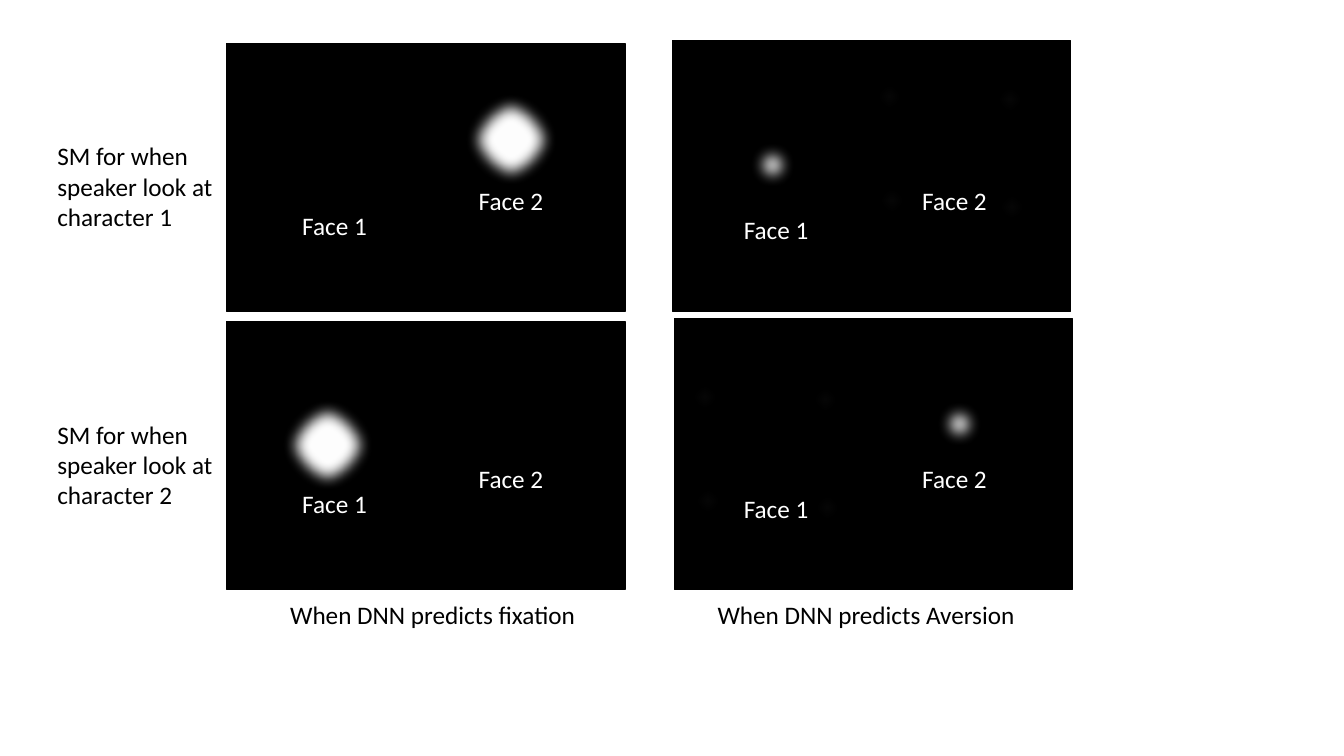
from pptx import Presentation
from pptx.dml.color import RGBColor
from pptx.enum.shapes import MSO_SHAPE
from pptx.enum.text import MSO_AUTO_SIZE
from pptx.oxml.ns import qn
from pptx.util import Inches, Pt
from lxml import etree

BLACK = RGBColor(0x00, 0x00, 0x00)
WHITE = RGBColor(0xFF, 0xFF, 0xFF)
NAVY = RGBColor(0x32, 0x54, 0x91)
RECTANGLE = MSO_SHAPE.RECTANGLE
OVAL = MSO_SHAPE.OVAL
GROW = MSO_AUTO_SIZE.SHAPE_TO_FIT_TEXT
COLUMNS, ROWS = 40, 22.5
ROW_STEP = 8.28
FACE_SIZE = (2.82, 1.2)
CAPTION_SIZE = (9.93, 1.2)
SIDE_SIZE = (7.02, 3.03)
FIXATION_SIZE = (2.82, 2.85)
GLANCE_SIZE = (1.62, 1.65)
SPOT_SIZE = (1.23, 1.2)
SPOT_OFFSETS = [(0, 0), (0.08, 3.09), (3.58, 0.08), (3.64, 3.28)]


class SaliencyPage:
    font_name = "Calibri"
    font_size = Pt(18)
    blur = Pt(10)

    def __init__(self, deck):
        self.column = deck.slide_width / COLUMNS
        self.row = deck.slide_height / ROWS
        self.page = deck.slides.add_slide(deck.slide_layouts[6])

    def place(self, position, size):
        (left, top), (width, height) = position, size
        return (round(left * self.column), round(top * self.row),
                round(width * self.column), round(height * self.row))

    def shape(self, kind, position, size, fill, line):
        shape = self.page.shapes.add_shape(kind, *self.place(position, size))
        shape.shadow.inherit = False
        shape.fill.solid()
        shape.fill.fore_color.rgb = fill
        shape.line.color.rgb = line
        shape.line.width = Pt(1)
        return shape

    def panel(self, position, size):
        self.shape(RECTANGLE, position, size, BLACK, BLACK)

    def glow(self, position, size):
        oval = self.shape(OVAL, position, size, WHITE, NAVY)
        effects = oval._element.spPr.find(qn("a:effectLst"))
        etree.SubElement(effects, qn("a:softEdge"), rad=str(self.blur))

    def label(self, position, size, text, color=BLACK, right_inset=0.1):
        box = self.page.shapes.add_textbox(*self.place(position, size))
        frame = box.text_frame
        frame.word_wrap = True
        frame.auto_size = GROW
        frame.margin_right = Inches(right_inset)
        para = frame.paragraphs[0]
        para.text = text
        para.font.name = self.font_name
        para.font.size = self.font_size
        para.font.color.rgb = color


def main():
    deck = Presentation()
    deck.slide_width = Inches(13.33)
    deck.slide_height = Inches(7.5)
    page = SaliencyPage(deck)

    for index in range(2):
        down = index * ROW_STEP
        page.panel((6.75, 1.29 + down), (11.85, 7.98))
        page.panel((20.01 + index * 0.06, 1.2 + down), (11.85, 8.07))
        page.label((1.41, 4.04 + down), SIDE_SIZE,
                   f"SM for when speaker look at character {index + 1}",
                   right_inset=0.3)
        for text, left, top in [("Face 1", 8.7, 6.12), ("Face 2", 13.95, 5.37),
                                ("Face 1", 21.84, 6.24), ("Face 2", 27.15, 5.37)]:
            page.label((left, top + down), FACE_SIZE, text, WHITE)

    for position in [(13.8, 2.73), (8.34, 11.82)]:
        page.glow(position, FIXATION_SIZE)
    for position in [(22.17, 4.08), (27.75, 11.79)]:
        page.glow(position, GLANCE_SIZE)
    for left, top in [(25.86, 2.28), (20.37, 11.22)]:
        for across, down in SPOT_OFFSETS:
            page.glow((left + across, top + down), SPOT_SIZE)

    for left, outcome in [(8.34, "fixation"), (21.06, "Aversion")]:
        page.label((left, 17.7), CAPTION_SIZE, f"When DNN predicts {outcome}")

    deck.save("out.pptx")


if __name__ == "__main__":
    main()
